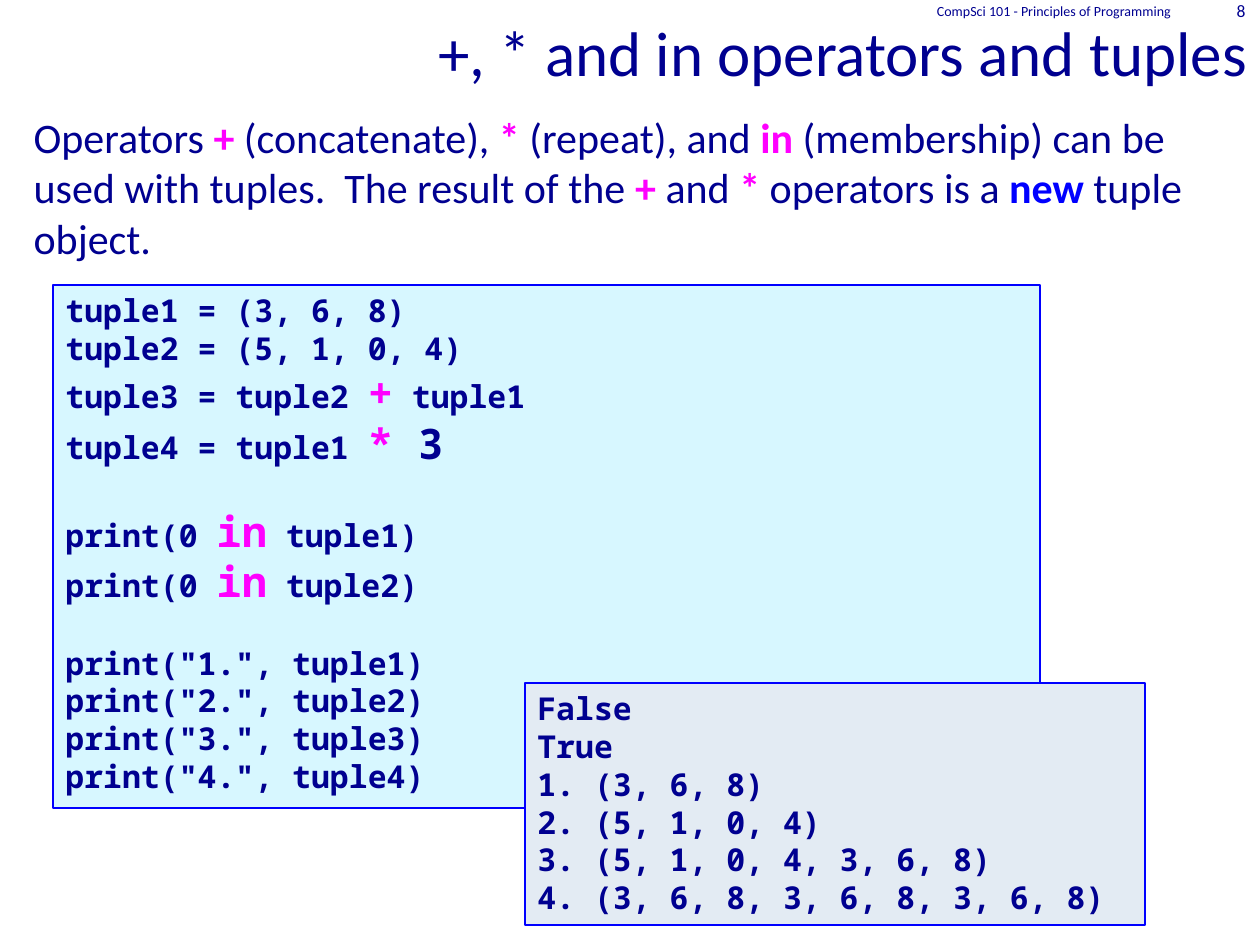
from dataclasses import dataclass

from lxml import etree
from pptx import Presentation
from pptx.dml.color import RGBColor
from pptx.enum.shapes import MSO_SHAPE
from pptx.enum.text import MSO_ANCHOR, MSO_AUTO_SIZE, PP_ALIGN
from pptx.oxml.ns import qn
from pptx.util import Emu, Pt

RECTANGLE = MSO_SHAPE.RECTANGLE
TOP, MIDDLE, BOTTOM = MSO_ANCHOR.TOP, MSO_ANCHOR.MIDDLE, MSO_ANCHOR.BOTTOM
LEFT, RIGHT = PP_ALIGN.LEFT, PP_ALIGN.RIGHT
NO_FIT = MSO_AUTO_SIZE.NONE

EMU_PER_PX = 914400 / 126
NAVY, PINK, BLUE = "000090", "FF00FF", "0000FF"
SANS, MONO = "Calibri", "Noto Sans Mono"
CODE_GAP = 21.5


@dataclass(frozen=True)
class Run:
    text: str
    size: int = 18
    color: str = NAVY
    bold: bool = True
    font: str = MONO


@dataclass(frozen=True)
class Line:
    runs: tuple[Run, ...]
    gap: float = 0


@dataclass(frozen=True)
class Panel:
    box: tuple[int, int, int, int]
    fill: str
    lines: list[Line]


@dataclass(frozen=True)
class Label:
    box: tuple[int, int, int, int]
    text: str
    size: int


def px(n: int) -> Emu:
    return Emu(round(n * EMU_PER_PX))


def rgb(color: str) -> RGBColor:
    return RGBColor.from_string(color)


def add_text(p, text: str, *, size: int, color: str = NAVY,
             bold: bool = False, font: str = SANS) -> None:
    r = p.add_run()
    r.text = text
    r.font.size = Pt(size)
    r.font.name = font
    r.font.bold = bold
    r.font.color.rgb = rgb(color)


def place(sp, box: tuple[int, int, int, int]) -> None:
    sp.left, sp.top, sp.width, sp.height = map(px, box)


def setup_frame(sp, anchor, align):
    tf = sp.text_frame
    tf.word_wrap = True
    tf.auto_size = NO_FIT
    tf.vertical_anchor = anchor
    p = tf.paragraphs[0]
    p.alignment = align
    return tf, p


def add_panel(slide, panel: Panel) -> None:
    sp = slide.shapes.add_shape(RECTANGLE, *map(px, panel.box))
    sp.shadow.inherit = False
    sp.fill.solid()
    sp.fill.fore_color.rgb = rgb(panel.fill)
    sp.line.color.rgb = rgb(BLUE)
    sp.line.width = Pt(0.75)
    tf, p = setup_frame(sp, TOP, LEFT)
    for i, line in enumerate(panel.lines):
        if i:
            p = tf.add_paragraph()
            p.alignment = LEFT
        if line.gap:
            p.space_before = Pt(line.gap)
        for run in line.runs:
            add_text(p, run.text, size=run.size, color=run.color,
                     bold=run.bold, font=run.font)


def add_label(slide, label: Label) -> None:
    sp = slide.shapes.add_textbox(*map(px, label.box))
    _, p = setup_frame(sp, MIDDLE, RIGHT)
    add_text(p, label.text, size=label.size)


def plain(*texts: str) -> list[Line]:
    return [Line((Run(text),)) for text in texts]


def membership(name: str, gap: float = 0) -> Line:
    return Line((Run("print(0 "), Run("in", 24, PINK), Run(f" {name})")), gap)


def print_tuple(n: int) -> Line:
    return Line((Run(f'print("{n}.", tuple{n})'),), CODE_GAP if n == 1 else 0)


INTRO = [
    ("Operators ", NAVY), ("+", PINK), (" (concatenate), ", NAVY),
    ("*", PINK), (" (repeat), and ", NAVY), ("in ", PINK),
    ("(membership) can be used with tuples.  The result of the ", NAVY),
    ("+", PINK), (" and ", NAVY), ("* ", PINK), ("operators is a ", NAVY),
    ("new", BLUE), (" tuple object.", NAVY),
]

CODE = [
    *plain("tuple1 = (3, 6, 8)", "tuple2 = (5, 1, 0, 4)"),
    Line((Run("tuple3 = tuple2 "), Run("+", 24, PINK), Run(" tuple1"))),
    Line((Run("tuple4 = tuple1 "), Run("* ", 24, PINK), Run("3", 24))),
    membership("tuple1", CODE_GAP),
    membership("tuple2"),
    *[print_tuple(n) for n in range(1, 5)],
]

OUTPUT = plain("False", "True", "1. (3, 6, 8)", "2. (5, 1, 0, 4)",
               "3. (5, 1, 0, 4, 3, 6, 8)", "4. (3, 6, 8, 3, 6, 8, 3, 6, 8)")

PANELS = [
    Panel((53, 285, 987, 523), "D7F7FF", CODE),
    Panel((525, 683, 620, 242), "E3EBF3", OUTPUT),
]

LABELS = [
    Label((806, 0, 378, 21), "CompSci 101 - Principles of Programming", 8),
    Label((1184, 0, 74, 21), "8", 10),
]


def main() -> None:
    prs = Presentation()
    prs.slide_width, prs.slide_height = px(1260), px(945)
    slide = prs.slides.add_slide(prs.slide_layouts[1])

    title = slide.shapes.title
    place(title, (0, 0, 1260, 95))
    _, p = setup_frame(title, BOTTOM, RIGHT)
    add_text(p, "+, * and in operators and tuples", size=36)

    body = slide.placeholders[1]
    place(body, (21, 105, 1207, 646))
    _, p = setup_frame(body, TOP, LEFT)
    p.space_before = Pt(0)
    pPr = p._p.get_or_add_pPr()
    pPr.set("marL", "0")
    pPr.set("indent", "0")
    etree.SubElement(pPr, qn("a:buNone"))
    for text, color in INTRO:
        add_text(p, text, size=24, color=color, bold=color != NAVY)

    for panel in PANELS:
        add_panel(slide, panel)
    for label in LABELS:
        add_label(slide, label)

    prs.save("out.pptx")


if __name__ == "__main__":
    main()
